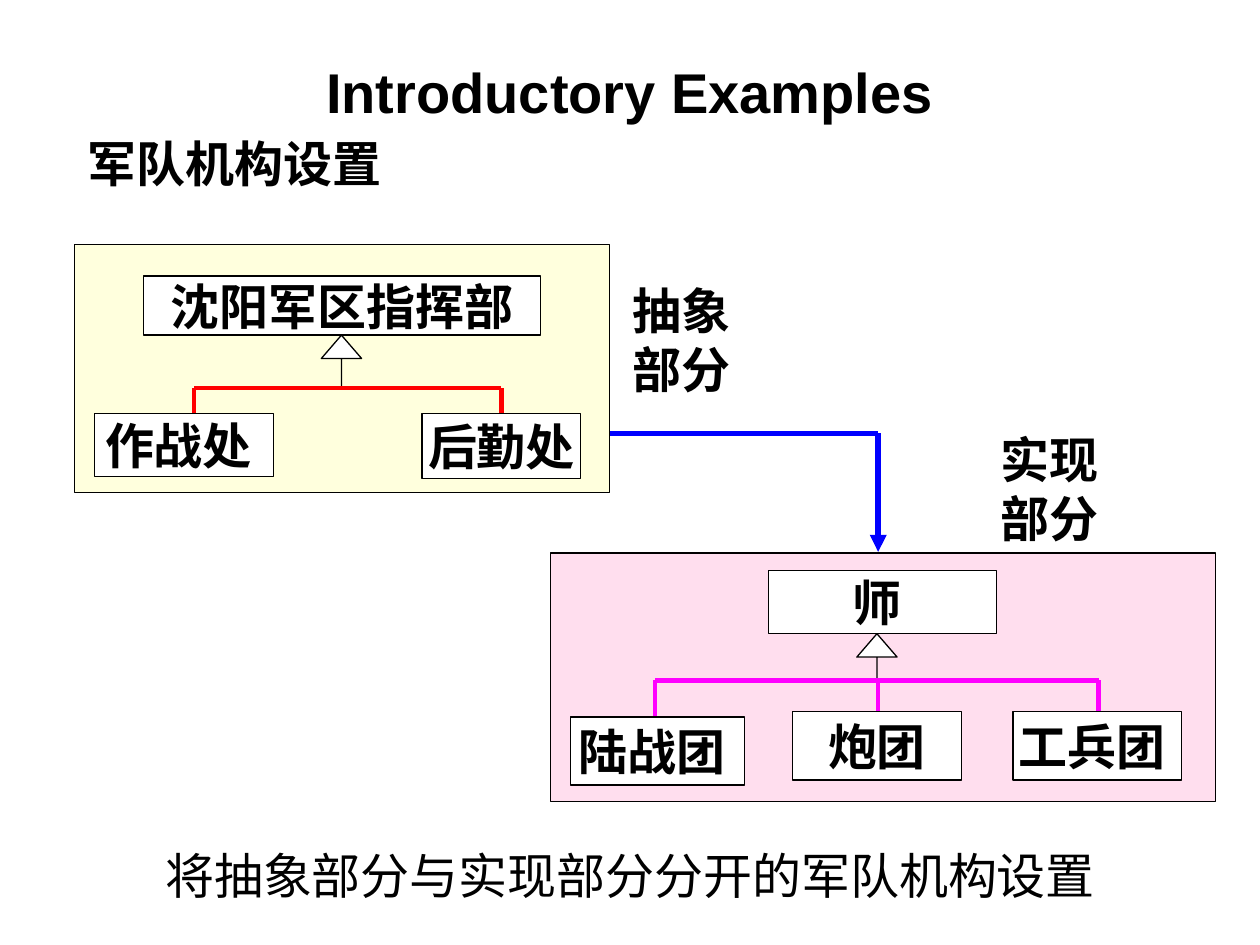
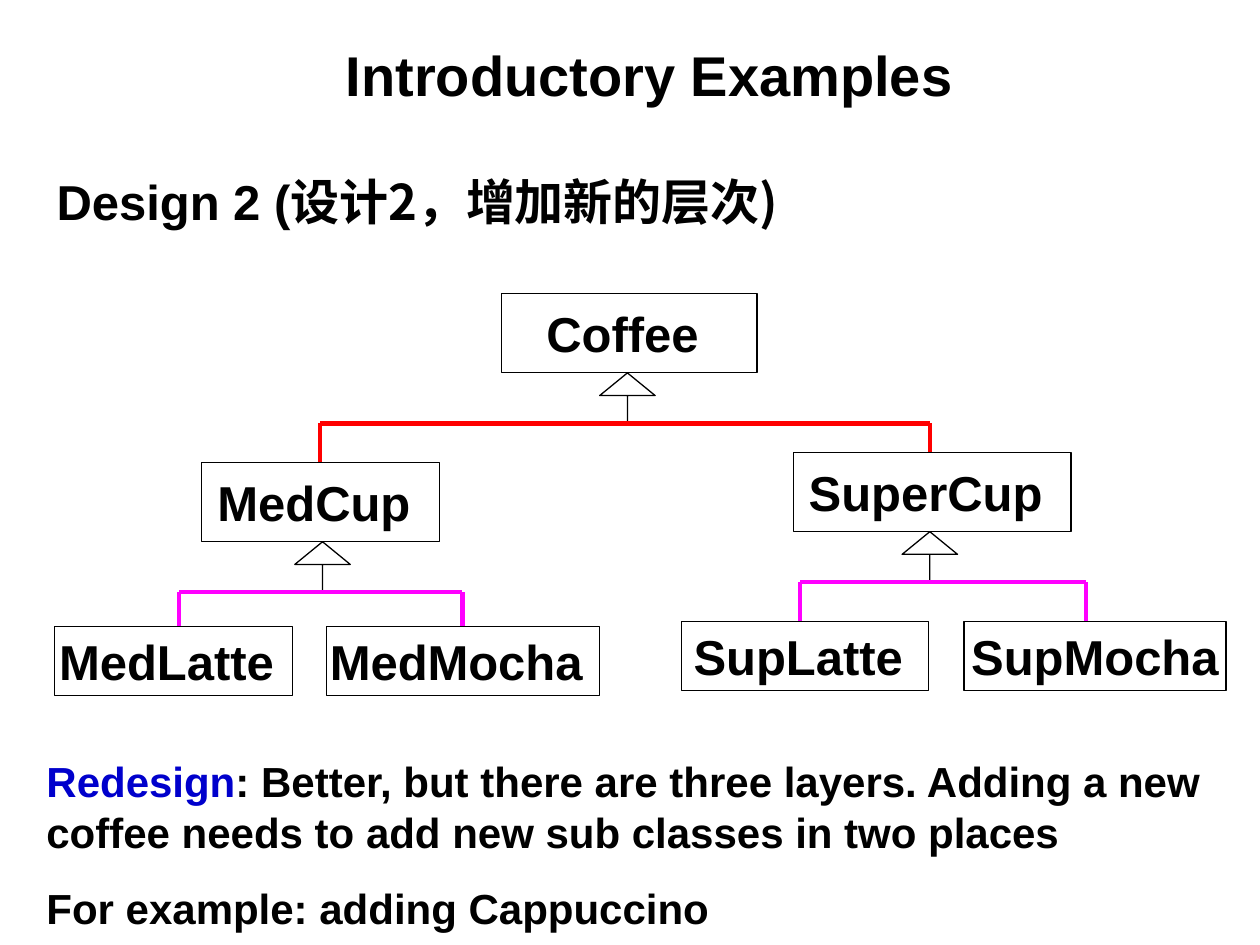
from lxml.etree import SubElement as Sub
from pptx import Presentation
from pptx.dml.color import RGBColor
from pptx.enum.shapes import MSO_CONNECTOR as Conn, MSO_SHAPE as Form
from pptx.enum.text import MSO_ANCHOR as Anchor, MSO_AUTO_SIZE as Auto, PP_ALIGN as Align
from pptx.oxml.ns import qn
from pptx.util import Inches, Pt

BLACK = RGBColor(0, 0, 0)
WHITE = RGBColor(255, 255, 255)
RED = RGBColor(255, 0, 0)
PINK = RGBColor(255, 0, 255)
BLUE = RGBColor(0, 0, 255)
NAVY = RGBColor(0, 0, 204)
ROSE = RGBColor(0xFF, 0x99, 0xCC)
CREAM = RGBColor(0xFF, 0xFF, 0x99)
LATIN, HAN = "Arial", "Noto Sans CJK SC"
TITLE = "Introductory Examples"

ARMY = {
    "title": (0.5, 0.3, 9, 0.85),
    "font": HAN,
    "head": (0.32, 0.58),
    "panels": [(ROSE, 32, (4.37, 4.39, 5.28, 1.97)), (CREAM, 33, (0.59, 1.94, 4.25, 1.97))],
    "boxes": [
        ("沈阳军区指挥部", (1.14, 2.19, 3.15, 0.47)),
        ("作战处 ", (0.75, 3.28, 1.42, 0.5)),
        ("后勤处", (3.35, 3.28, 1.26, 0.52)),
        ("师 ", (6.1, 4.53, 1.81, 0.5)),
        ("陆战团 ", (4.53, 5.69, 1.38, 0.54)),
        ("炮团", (6.29, 5.65, 1.34, 0.54)),
        ("工兵团 ", (8.04, 5.65, 1.34, 0.54)),
    ],
    "trees": [
        ("沈阳军区指挥部", 2.71, 3.08, RED, {"作战处": 1.54, "后勤处": 3.98}),
        ("师", 6.96, 5.4, PINK, {"陆战团": 5.2, "炮团": 6.97, "工兵团": 8.72}),
    ],
    "notes": [
        ([[("军队机构设置", HAN, BLACK)]], (0.6, 1.01, 2.53, 0.57), 28, True, Align.LEFT, False),
        ([[("抽象", HAN, BLACK)], [("部分", HAN, BLACK)]],
         (4.92, 2.18, 1.02, 1.04), 28, True, Align.LEFT, True),
        ([[("实现", HAN, BLACK)], [("部分", HAN, BLACK)]],
         (7.84, 3.36, 1.02, 1.04), 28, True, Align.LEFT, True),
        ([[("将抽象部分与实现部分分开的军队机构设置", LATIN, BLACK)]],
         (1.14, 6.66, 7.72, 0.57), 28, False, Align.CENTER, True),
    ],
    "route": [(4.84, 3.44), (6.97, 3.44), (6.97, 4.38)],
}
COFFEE = {
    "title": (1.77, 0.28, 6.77, 0.61),
    "font": LATIN,
    "head": (0.44, 0.45),
    "panels": [],
    "boxes": [
        ("Coffee ", (3.98, 2.33, 2.03, 0.63)),
        ("MedCup ", (1.6, 3.67, 1.89, 0.63)),
        ("SuperCup ", (6.3, 3.59, 2.2, 0.63)),
        ("MedLatte ", (0.43, 4.97, 1.89, 0.55)),
        ("MedMocha ", (2.59, 4.97, 2.17, 0.55)),
        ("SupLatte ", (5.41, 4.93, 1.96, 0.55)),
        ("SupMocha", (7.65, 4.93, 2.08, 0.55)),
    ],
    "trees": [
        ("Coffee", 4.98, 3.36, RED, {"MedCup": 2.54, "SuperCup": 7.38}),
        ("MedCup", 2.56, 4.7, PINK, {"MedLatte": 1.42, "MedMocha": 3.67}),
        ("SuperCup", 7.38, 4.62, PINK, {"SupLatte": 6.35, "SupMocha": 8.62}),
    ],
    "notes": [
        ([[("Design 2 (", LATIN, BLACK), ("设计2，增加新的层次)", HAN, BLACK)]],
         (0.35, 1.31, 7.48, 0.57), 28, True, Align.LEFT, True),
        ([[("Redesign", LATIN, NAVY),
           (": Better, but there are three layers. Adding a new coffee needs to add "
            "new sub classes in two places", LATIN, BLACK)],
          [("For example: adding Cappuccino", LATIN, BLACK)]],
         (0.27, 5.95, 9.45, 1.51), 24, True, Align.LEFT, True),
    ],
    "route": [],
}


def inch(spot):
    """Turn a tuple of numbers into lengths."""
    return [Inches(v) for v in spot]


def style(par, size, bold, align, face, tint=BLACK):
    """Format a paragraph, with a font for Chinese text as well."""
    par.alignment = align
    font = par.font
    font.size, font.bold, font.name = Pt(size), bold, face
    font.color.rgb = tint
    base = par._p.get_or_add_pPr().find(qn("a:defRPr"))
    Sub(base, qn("a:ea")).set("typeface", HAN)


def shape(slide, form, spot, fill=WHITE, alpha=None):
    """Add a filled shape with a thin black outline."""
    item = slide.shapes.add_shape(form, *inch(spot))
    item.shadow.inherit = False
    item.fill.solid()
    item.fill.fore_color.rgb = fill
    item.line.color.rgb = BLACK
    item.line.width = Pt(0.75)
    if alpha:
        tone = item._element.spPr.find(qn("a:solidFill"))[0]
        Sub(tone, qn("a:alpha")).set("val", str(alpha * 1000))
    return item


def line(slide, start, end, tint, width=2.5, tip=False):
    """Add a straight line, with an arrowhead if asked."""
    item = slide.shapes.add_connector(Conn.STRAIGHT, *inch(start + end))
    item.line.color.rgb = tint
    item.line.width = Pt(width)
    if tip:
        Sub(item.line._get_or_add_ln(), qn("a:tailEnd")).set("type", "triangle")
    Sub(item._element.spPr, qn("a:effectLst"))


def box(slide, text, spot, face):
    """Add a white box with one bold centred label."""
    frame = shape(slide, Form.RECTANGLE, spot).text_frame
    frame.word_wrap = False
    frame.vertical_anchor = Anchor.MIDDLE
    frame.text = text
    style(frame.paragraphs[0], 28, True, Align.CENTER, face)


def tree(slide, spots, head, top, stem, bar, tint, kids):
    """Join a parent box to its children with an open arrow and a bar."""
    width, ratio = head
    high = spots[top][1] + spots[top][3]
    arrow = shape(slide, Form.UP_ARROW, (stem - width / 2, high, width, bar - high))
    arrow.adjustments[0], arrow.adjustments[1] = 0, ratio
    line(slide, (min(kids.values()), bar), (max(kids.values()), bar), tint)
    for kid, x in kids.items():
        line(slide, (x, bar), (x, spots[kid][1]), tint)


def note(slide, rows, spot, size, bold, align, wrap):
    """Add free text, one paragraph for each row of runs."""
    frame = slide.shapes.add_textbox(*inch(spot)).text_frame
    frame.word_wrap = wrap
    for i, row in enumerate(rows):
        par = frame.add_paragraph() if i else frame.paragraphs[0]
        if i and size == 24:
            par.space_before = Pt(15)
        style(par, size, bold, align, row[0][1], row[-1][2])
        for text, face, tint in row:
            run = par.add_run()
            run.text = text
            if face != row[0][1]:
                run.font.name = face
            if tint != row[-1][2]:
                run.font.color.rgb = tint


def build(deck, plan):
    """Build one slide from its plan."""
    slide = deck.slides.add_slide(deck.slide_layouts[5])
    title = slide.shapes.title
    title.left, title.top, title.width, title.height = inch(plan["title"])
    frame = title.text_frame
    frame.text = TITLE
    frame.auto_size = Auto.NONE
    frame.vertical_anchor = Anchor.MIDDLE
    style(frame.paragraphs[0], 32, True, Align.CENTER, LATIN)
    for fill, alpha, spot in plan["panels"]:
        shape(slide, Form.RECTANGLE, spot, fill, alpha)
    spots = {text.strip(): spot for text, spot in plan["boxes"]}
    for item in plan["trees"]:
        tree(slide, spots, plan["head"], *item)
    for text, spot in plan["boxes"]:
        box(slide, text, spot, plan["font"])
    route = plan["route"]
    for start, end in zip(route, route[1:]):
        line(slide, start, end, BLUE, 3.25, end == route[-1])
    for item in plan["notes"]:
        note(slide, *item)


def main():
    """Build and save the deck."""
    deck = Presentation()
    deck.slide_width, deck.slide_height = Inches(10), Inches(7.5)
    for plan in (ARMY, COFFEE):
        build(deck, plan)
    deck.save("out.pptx")


if __name__ == "__main__":
    main()
